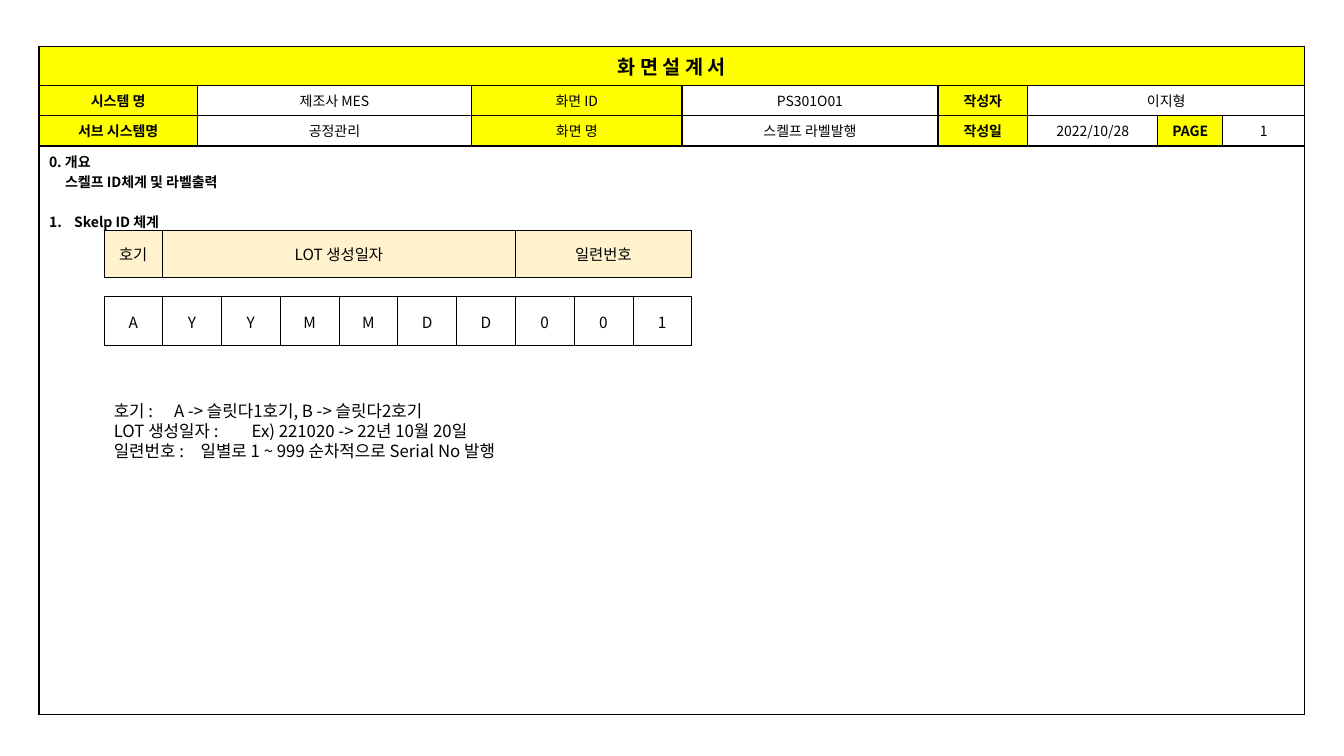
from lxml.etree import SubElement as Sub
from pptx import Presentation
from pptx.dml.color import RGBColor as Rgb
from pptx.enum.text import MSO_ANCHOR as Anchor, MSO_AUTO_SIZE as Auto, PP_ALIGN as Align
from pptx.oxml.ns import qn
from pptx.util import Pt

FONT = "Noto Sans CJK KR"
HUE = {"ink": "000000", "head": "FFFF00", "label": "FFF2CC"}

TITLE = "화 면 설 계 서"
WIDTHS = [113.2, 195.8, 150.4, 182.8, 64.2, 92.8, 46.6, 58.4]
HEIGHTS = [28, 21.6, 21.6, 406]
INFO = [
    ["시스템 명", "제조사 MES", "화면 ID", "PS301O01", "작성자", "이지형"],
    ["서브 시스템명", "공정관리", "화면 명", "스켈프 라벨발행", "작성일",
     "2022/10/28", "PAGE", "1"],
]
BOLD = {0, 4, 6}
BODY = [
    ("0. 개요", 0, 0, 0, None),
    ("스켈프 ID체계 및 라벨출력", 11.5, 0, 0, None),
    ("Skelp ID 체계", 18, -18, 14.5, "arabicPeriod"),
]

PARTS = [("호기", 1), ("LOT 생성일자", 6), ("일련번호", 3)]
CODE = "AYYMMDD001"
CODE_W = 42
CODE_H = [33.8, 13.6, 35]

NOTES = [
    ("호기 :", "A -> 슬릿다1호기, B -> 슬릿다2호기", 43),
    ("LOT 생성일자 :", "Ex) 221020 -> 22년 10월 20일", 98.5),
    ("일련번호 :", "일별로 1 ~ 999 순차적으로 Serial No 발행", 62),
]


def style(para, size, bold=False, align=Align.LEFT):
    para.alignment = align
    font = para.font
    font.size, font.bold, font.name = Pt(size), bold, FONT
    font.color.rgb = Rgb.from_string(HUE["ink"])
    Sub(para._p.pPr.find(qn("a:defRPr")), qn("a:ea"), typeface=FONT)


def border(cell, width, sides):
    props = cell._tc.get_or_add_tcPr()
    for spot, side in enumerate("LRTB"):
        line = Sub(props, qn(f"a:ln{side}"), w=str(Pt(width)))
        if side in sides:
            fill = Sub(line, qn("a:solidFill"))
            Sub(fill, qn("a:srgbClr"), val=HUE["ink"])
        else:
            Sub(line, qn("a:noFill"))
        props.remove(line)
        props.insert(spot, line)


def grid(left, top, widths, heights, line, bare=()):
    frame = slide.shapes.add_table(len(heights), len(widths), Pt(left), Pt(top),
                                   Pt(sum(widths)), Pt(sum(heights)))
    table = frame.table
    table.first_row = table.horz_banding = False
    for col, width in zip(table.columns, widths):
        col.width = Pt(width)
    for row, height in zip(table.rows, heights):
        row.height = Pt(height)
    for r, row in enumerate(table.rows):
        for cell in row.cells:
            cell.fill.background()
            border(cell, line, "TB" if r in bare else "LRTB")
    return table


def put(cell, text, size, fill=None, bold=False):
    cell.vertical_anchor = Anchor.MIDDLE
    if fill:
        cell.fill.solid()
        cell.fill.fore_color.rgb = Rgb.from_string(HUE[fill])
    para = cell.text_frame.paragraphs[0]
    para.text = text
    style(para, size, bold, Align.CENTER)


def tight(cell):
    cell.margin_left = cell.margin_right = Pt(0.7)
    cell.margin_top, cell.margin_bottom = Pt(0.7), 0


def add_para(frame, first):
    return frame.paragraphs[0] if first else frame.add_paragraph()


deck = Presentation()
deck.slide_width, deck.slide_height = Pt(960), Pt(540)
slide = deck.slides.add_slide(deck.slide_layouts[6])

form = grid(27.8, 33, WIDTHS, HEIGHTS, 1)
last = len(WIDTHS) - 1
form.cell(0, 0).merge(form.cell(0, last))
form.cell(1, 5).merge(form.cell(1, last))
form.cell(3, 0).merge(form.cell(3, last))
put(form.cell(0, 0), TITLE, 14, "head", True)
for r, row in enumerate(INFO, 1):
    for c, text in enumerate(row):
        put(form.cell(r, c), text, 10, None if c % 2 else "head", c in BOLD)

body = form.cell(3, 0).text_frame
for i, (text, left, hang, gap, num) in enumerate(BODY):
    para = add_para(body, i == 0)
    para.text = text
    if gap:
        para.space_before = Pt(gap)
    props = para._p.get_or_add_pPr()
    props.set("marL", str(Pt(left)))
    props.set("indent", str(Pt(hang)))
    if num:
        Sub(props, qn("a:buFont"), typeface=FONT)
        Sub(props, qn("a:buAutoNum"), type=num)
    style(para, 10, True)

box = slide.shapes.add_textbox(Pt(74.2), Pt(283), Pt(638), Pt(80))
box.text_frame.word_wrap = True
box.text_frame.auto_size = Auto.SHAPE_TO_FIT_TEXT
for i, (name, text, stop) in enumerate(NOTES):
    para = add_para(box.text_frame, i == 0)
    para.text = f"{name}\t{text}"
    para.line_spacing = Pt(14.3)
    tabs = Sub(para._p.get_or_add_pPr(), qn("a:tabLst"))
    Sub(tabs, qn("a:tab"), pos=str(Pt(stop)), algn="l")
    style(para, 12)

code = grid(74.2, 164.3, [CODE_W] * len(CODE), CODE_H, 0.5, bare=(1,))
for cell in code.iter_cells():
    tight(cell)
col = 0
for text, span in PARTS:
    if span > 1:
        code.cell(0, col).merge(code.cell(0, col + span - 1))
    put(code.cell(0, col), text, 11, "label")
    col += span
for c, sign in enumerate(CODE):
    Sub(code.cell(1, c).text_frame.paragraphs[0]._p, qn("a:endParaRPr"), sz="400")
    put(code.cell(2, c), sign, 11)

deck.save("out.pptx")
